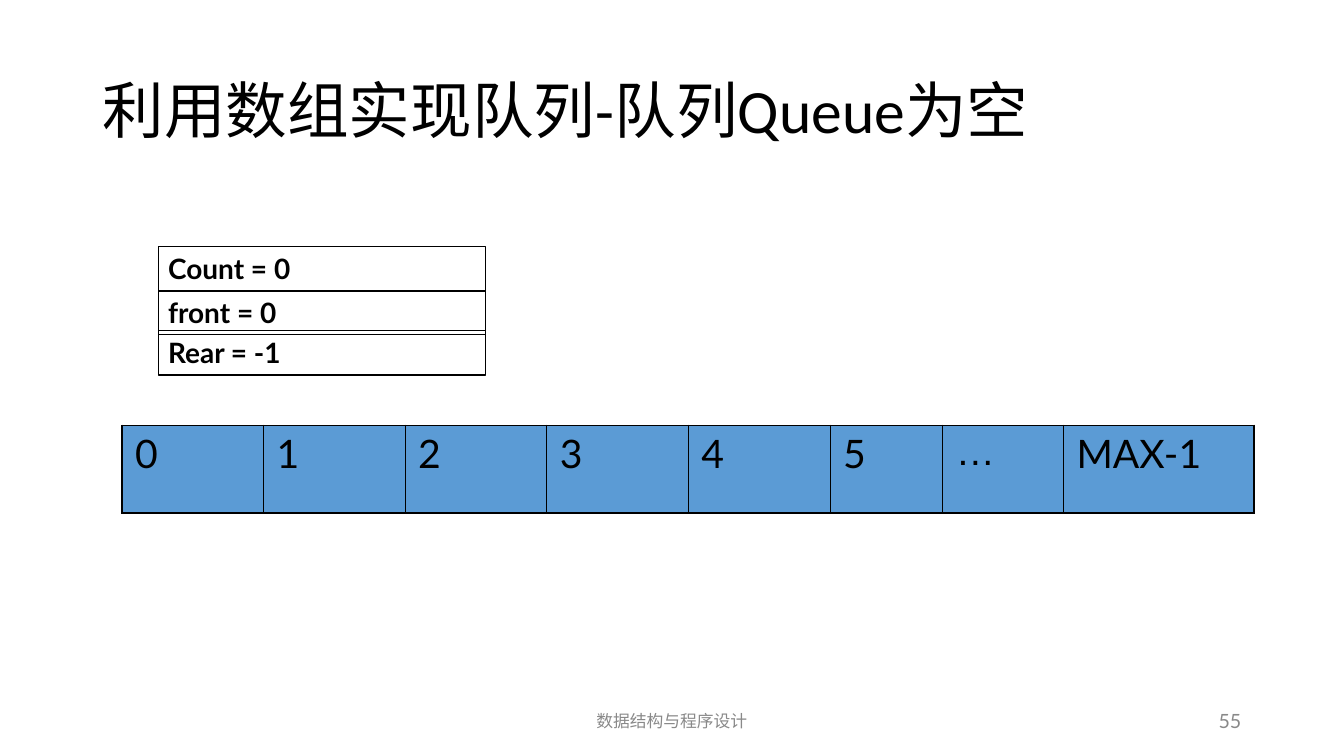
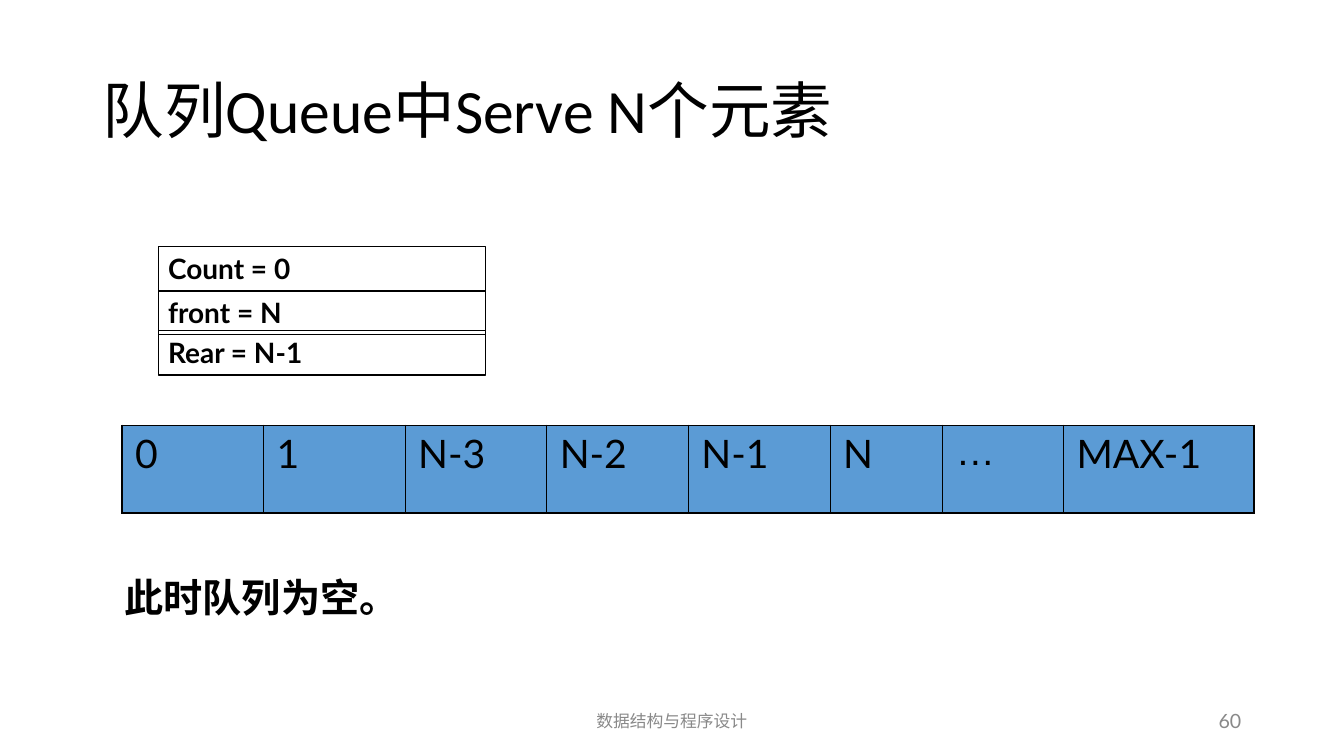
import pptx
import pptx.util
import pptx.dml.color
import pptx.enum.lang
import pptx.enum.shapes
import pptx.enum.text
import pptx.oxml

Pt = pptx.util.Pt
ALIGN = pptx.enum.text.PP_ALIGN
ANCHOR = pptx.enum.text.MSO_ANCHOR
AUTO = pptx.enum.text.MSO_AUTO_SIZE
COLORS = {"text": "000000", "line": "000000", "footer": "898989", "cell": "5B9BD5"}
NS = 'xmlns:a="http://schemas.openxmlformats.org/drawingml/2006/main"'


def rgb(name):
    return pptx.dml.color.RGBColor.from_string(COLORS[name])


class Deck:
    width, height = 960.5, 540
    font = "Lato"
    title_box = (66.2, 28.8, 828, 104.4)
    footer_box = (318.2, 500.4, 324, 28.8)
    number_box = (678.2, 500.4, 216, 28.8)
    footer = "数据结构与程序设计"
    state_left, state_width, state_height = 113, 234, 31.7
    state_tops = (176.4, 207.4, 236.2)
    array_left, array_top, array_height = 87.1, 303.8, 62.6
    array_widths = [101.2] * 5 + [80.6, 86.4, 136]
    note_box = (75.6, 406, 673.2, 41)

    def __init__(self):
        self.prs = pptx.Presentation()
        self.prs.slide_width = Pt(self.width)
        self.prs.slide_height = Pt(self.height)
        self.s = None

    def fill_text(self, tf, text, size, color="text", font=None, bold=False,
                  frame=None, para=None):
        p = tf.paragraphs[0]
        r = p.add_run()
        r.text = text
        r.font.color.rgb = rgb(color)
        formats = (
            (tf, {"word_wrap": True, **(frame or {})}),
            (p, {"alignment": ALIGN.LEFT, **(para or {})}),
            (r.font, {"size": Pt(size), "name": font or self.font, "bold": bold,
                      "language_id": pptx.enum.lang.MSO_LANGUAGE_ID.SIMPLIFIED_CHINESE}),
        )
        for target, values in formats:
            for name, value in values.items():
                setattr(target, name, value)

    def slide(self, title, number):
        self.s = self.prs.slides.add_slide(self.prs.slide_layouts[5])
        sp = self.s.shapes.title
        sp.left, sp.top, sp.width, sp.height = map(Pt, self.title_box)
        self.fill_text(sp.text_frame, title, 44, font="Calibri",
                       frame={"vertical_anchor": ANCHOR.MIDDLE, "auto_size": AUTO.NONE},
                       para={"line_spacing": 0.9})
        middle = {"vertical_anchor": ANCHOR.MIDDLE}
        self.text(self.footer_box, self.footer, 12, color="footer",
                  frame=middle, para={"alignment": ALIGN.CENTER})
        self.text(self.number_box, str(number), 14, color="footer",
                  frame=middle, para={"alignment": ALIGN.RIGHT})

    def text(self, box, text, size, **style):
        sp = self.s.shapes.add_textbox(*map(Pt, box))
        self.fill_text(sp.text_frame, text, size, **style)

    def state(self, labels):
        for top, label in zip(self.state_tops, labels):
            box = (self.state_left, top, self.state_width, self.state_height)
            sp = self.s.shapes.add_shape(
                pptx.enum.shapes.MSO_SHAPE.RECTANGLE, *map(Pt, box))
            sp.shadow.inherit = False
            sp.fill.background()
            sp.line.color.rgb = rgb("line")
            sp.line.width = Pt(0.75)
            self.fill_text(sp.text_frame, label, 20, bold=True,
                           frame={"vertical_anchor": ANCHOR.TOP,
                                  "auto_size": AUTO.SHAPE_TO_FIT_TEXT},
                           para={"space_before": Pt(12.5)})

    def array(self, labels):
        box = (self.array_left, self.array_top, sum(self.array_widths), self.array_height)
        table = self.s.shapes.add_table(1, len(labels), *map(Pt, box)).table
        table.first_row = table.horz_banding = False
        last = len(labels) - 1
        for i, (label, width) in enumerate(zip(labels, self.array_widths)):
            table.columns[i].width = Pt(width)
            cell = table.cell(0, i)
            cell.margin_left = cell.margin_right = Pt(9.4)
            cell.fill.solid()
            cell.fill.fore_color.rgb = rgb("cell")
            self.borders(cell, {"L": 0.45 if i else 1.08,
                                "R": 0.45 if i < last else 1.08,
                                "T": 1.08, "B": 1.08})
            self.fill_text(cell.text_frame, label, 28,
                           font="Arial" if label == "…" else None,
                           para={"space_before": Pt(7)})

    def borders(self, cell, widths):
        tc_pr = cell._tc.get_or_add_tcPr()
        for i, (side, width) in enumerate(widths.items()):
            tc_pr.insert(i, pptx.oxml.parse_xml(
                f'<a:ln{side} {NS} w="{Pt(width)}"><a:solidFill>'
                f'<a:srgbClr val="{COLORS["line"]}"/></a:solidFill></a:ln{side}>'))

    def note(self, text):
        self.text(self.note_box, text, 28, bold=True,
                  frame={"auto_size": AUTO.SHAPE_TO_FIT_TEXT},
                  para={"space_before": Pt(17.5)})


def main():
    deck = Deck()

    deck.slide("利用数组实现队列-队列Queue为空", 55)
    deck.state(["Count = 0", "front = 0", "Rear = -1"])
    deck.array(["0", "1", "2", "3", "4", "5", "…", "MAX-1"])

    deck.slide("队列Queue中Serve N个元素", 60)
    deck.state(["Count = 0", "front = N", "Rear = N-1"])
    deck.array(["0", "1", "N-3", "N-2", "N-1", "N", "…", "MAX-1"])
    deck.note(" 此时队列为空。")

    deck.prs.save("out.pptx")


if __name__ == "__main__":
    main()
